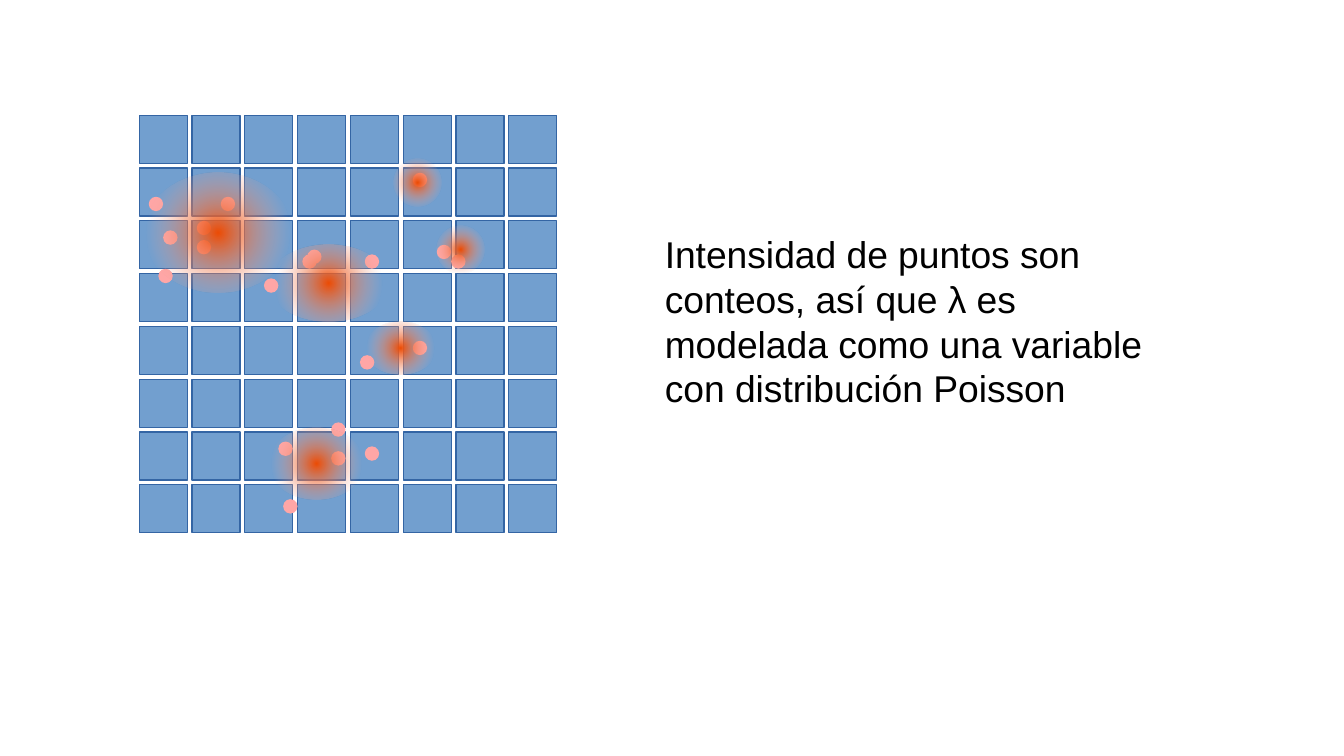
from dataclasses import dataclass
from itertools import product

from pptx import Presentation
from pptx.dml.color import RGBColor as RGB
from pptx.enum.shapes import MSO_SHAPE as Kind
from pptx.enum.text import MSO_AUTO_SIZE as Fit
from pptx.oxml import parse_xml
from pptx.oxml.ns import nsdecls
from pptx.util import Cm, Pt


@dataclass(frozen=True)
class Theme:
    cell: str = "729FCF"
    edge: str = "3465A4"
    dot: str = "FFA6A6"
    core: str = "ED4C05"
    mid: str = "F4AFA0"
    rim: str = "F7D1D5"
    ink: str = "000000"
    font: str = "Arial"
    size: int = 22


THEME = Theme()
COUNT = 8
LEFT, TOP, SIDE, PITCH = 2.9, 2.4, 1, 1.1
DOT = 0.3
DOTS = [
    (3.1, 4.1), (4.1, 4.6), (4.6, 4.1), (4.1, 5), (5.5, 5.8),
    (6.3, 5.3), (6.4, 5.2), (7.6, 5.3), (7.6, 9.3), (6.9, 9.4),
    (6.9, 8.8), (7.5, 7.4), (5.9, 10.4), (5.8, 9.2), (3.4, 4.8),
    (3.3, 5.6), (8.6, 3.6), (9.4, 5.3), (9.1, 5.1), (8.6, 7.1),
]
HALOS = [
    (5.6, 8.9, 2, 1.5), (7.6, 6.7, 1.5, 1.1), (3, 3.6, 3.1, 2.5),
    (5.6, 5.1, 2.5, 1.6), (9.1, 4.7, 1, 1), (8.2, 3.3, 1, 1),
]
TEXT = ("Intensidad de puntos son conteos, así que λ es modelada "
        "como una variable con distribución Poisson")


def add_form(shapes, kind, box, fill=None, edge=None):
    form = shapes.add_shape(kind, *map(Cm, box))
    form.shadow.inherit = False
    if fill:
        form.fill.solid()
        form.fill.fore_color.rgb = RGB.from_string(fill)
    else:
        form.fill.background()
    if edge:
        form.line.color.rgb = RGB.from_string(edge)
        form.line.width = Pt(0)
    else:
        form.line.fill.background()
    return form


def add_grid(shapes):
    group = shapes.add_group_shape().shapes
    for row, col in product(range(COUNT), repeat=2):
        box = LEFT + col * PITCH, TOP + row * PITCH, SIDE, SIDE
        add_form(group, Kind.FLOWCHART_PROCESS, box, THEME.cell, THEME.edge)


def add_dots(shapes):
    group = shapes.add_group_shape().shapes
    for left, top in DOTS:
        add_form(group, Kind.OVAL, (left, top, DOT, DOT), THEME.dot)


def add_halo(shapes, box):
    halo = add_form(shapes, Kind.OVAL, box)
    stops = "".join(
        f'<a:gs pos="{pos * 1000}"><a:srgbClr val="{color}">'
        f'<a:alpha val="{alpha * 1000}"/></a:srgbClr></a:gs>'
        for pos, color, alpha in (
            (0, THEME.core, 100), (75, THEME.mid, 0), (100, THEME.rim, 0))
    )
    glow = parse_xml(
        f'<a:gradFill {nsdecls("a")}><a:gsLst>{stops}</a:gsLst>'
        '<a:path path="circle"><a:fillToRect l="50000" t="50000" '
        'r="50000" b="50000"/></a:path></a:gradFill>'
    )
    props = halo.element.spPr
    props.replace(props.find("{*}noFill"), glow)


def add_note(shapes, box, text):
    frame = shapes.add_textbox(*map(Cm, box)).text_frame
    frame.word_wrap = True
    frame.auto_size = Fit.SHAPE_TO_FIT_TEXT
    run = frame.paragraphs[0].add_run()
    run.text = text
    run.font.name = THEME.font
    run.font.size = Pt(THEME.size)
    run.font.color.rgb = RGB.from_string(THEME.ink)


def main():
    deck = Presentation()
    deck.slide_width, deck.slide_height = Cm(28), Cm(15.75)
    shapes = deck.slides.add_slide(deck.slide_layouts[6]).shapes
    add_grid(shapes)
    add_dots(shapes)
    for box in HALOS:
        add_halo(shapes, box)
    add_note(shapes, (13.6, 4.7, 10.5, 3.73), TEXT)
    deck.save("out.pptx")


if __name__ == "__main__":
    main()
